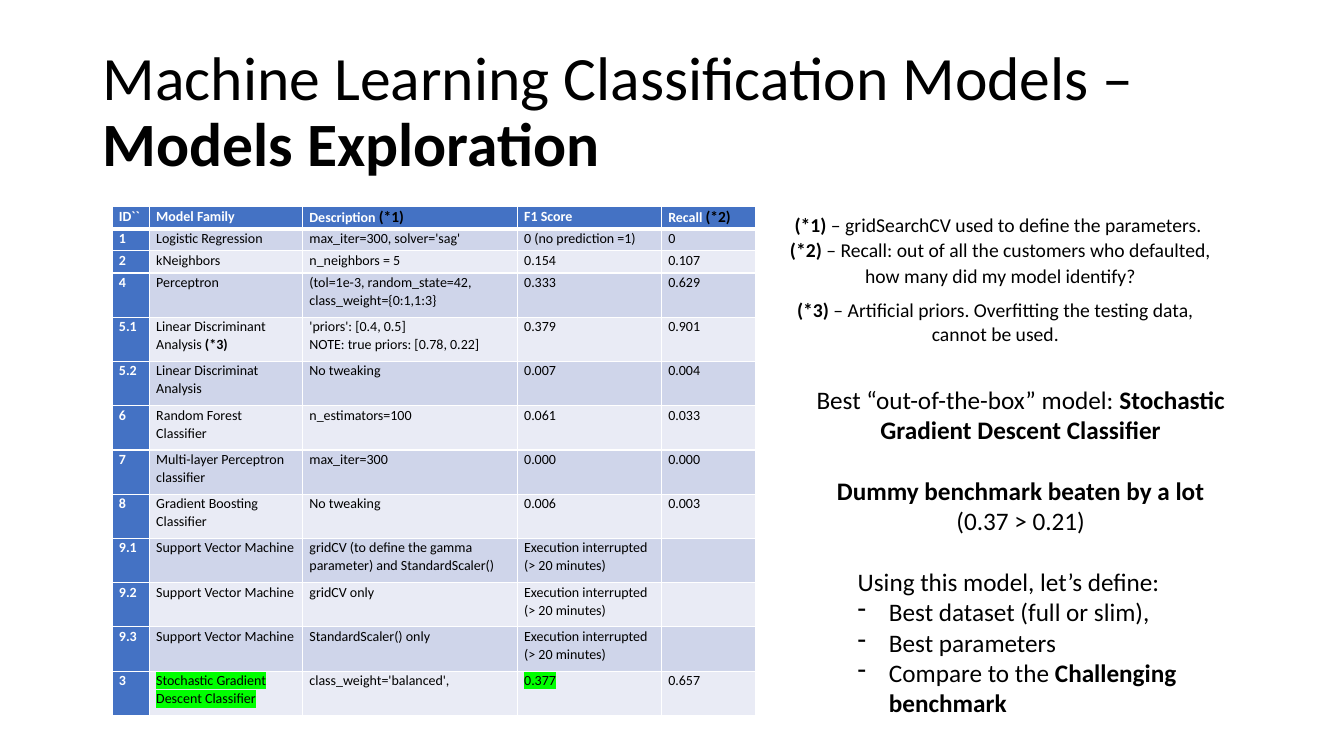
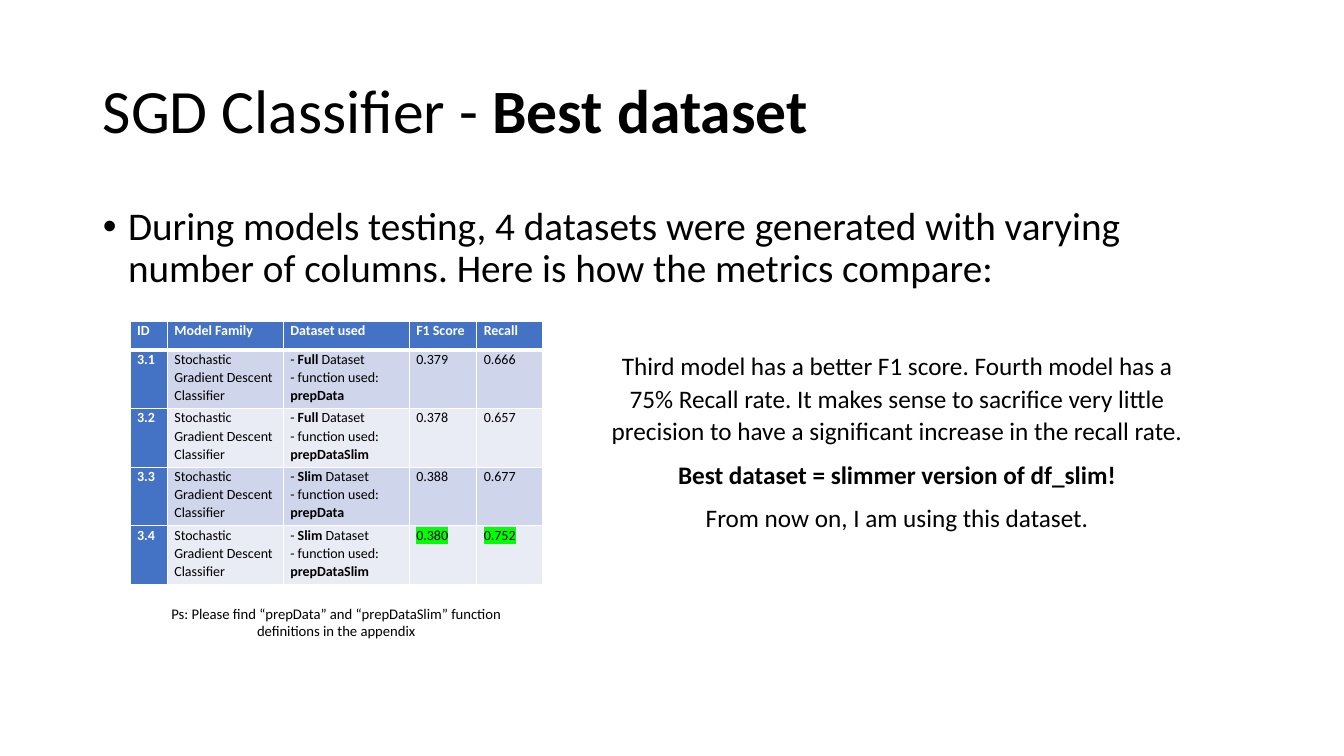
from dataclasses import dataclass, replace

from lxml import etree
from pptx import Presentation
from pptx import util as u
from pptx.dml.color import RGBColor
from pptx.enum import text as t
from pptx.oxml import ns


@dataclass(frozen=True)
class Theme:
    font: str = "Calibri"
    ink: str = "000000"
    paper: str = "FFFFFF"
    accent: str = "4472C4"
    bands: tuple = ("CFD5EA", "E9EBF5")
    marker: str = "00FF00"
    title: float = 44
    body: float = 28
    comment: float = 18
    note: float = 14
    small: float = 10.5
    cell: float = 10
    reference: float = 11
    rule: float = 1
    header_rule: float = 3


@dataclass(frozen=True)
class Span:
    text: str
    bold: bool = False
    marked: bool = False
    size: float = 0
    color: str = ""


@dataclass(frozen=True)
class Style:
    """Type and paragraph settings; indents in inches, spacing in points."""
    size: float
    color: str = "000000"
    bold: bool = False
    align: t.PP_ALIGN = t.PP_ALIGN.LEFT
    line: float = 1
    before: float = 0
    after: float = 0
    indent: float = 0
    hanging: float = 0
    bullet: str = ""


@dataclass(frozen=True)
class Box:
    """Area in hundredths of the slide's width and height."""
    left: float
    top: float
    width: float
    height: float

    def lengths(self):
        across, down = PAGE_WIDTH / 100, PAGE_HEIGHT / 100
        return [int(v) for v in (self.left * across, self.top * down,
                                 self.width * across, self.height * down)]


THEME = Theme()
PAGE_WIDTH, PAGE_HEIGHT = u.Inches(13.33), u.Inches(7.5)
TITLE_ONLY, TITLE_AND_BODY = 5, 1
TITLE_BOX = Box(6.9, 5.33, 86.25, 19.33)
BREAK = Span("\n")

CENTER = t.PP_ALIGN.CENTER
TITLE = Style(THEME.title, line=0.9)
BODY = Style(THEME.body, line=0.9, before=10, indent=0.25, hanging=0.25, bullet="•")
CELL = Style(THEME.cell, line=1.07)
HEADER = replace(CELL, color=THEME.paper, bold=True)
NOTE = Style(THEME.note, align=CENTER)
COMMENT = Style(THEME.comment, align=CENTER)
STEP = Style(THEME.comment, indent=0.81, hanging=0.31, bullet="-")


def bold(words):
    return Span(words, bold=True)


def marked(words):
    return Span(words, marked=True)


def reference(words):
    return Span(words, True, size=THEME.reference, color=THEME.ink)


def paint(fill, color):
    fill.solid()
    fill.fore_color.rgb = RGBColor.from_string(color)


def write_span(para, span, style):
    if span == BREAK:
        para.add_line_break()
        return
    run = para.add_run()
    run.text = span.text
    font = run.font
    font.name = THEME.font
    font.size = u.Pt(span.size or style.size)
    font.bold = span.bold or style.bold
    paint(font.fill, span.color or style.color)
    if span.marked:
        highlight = etree.Element(ns.qn("a:highlight"))
        etree.SubElement(highlight, ns.qn("a:srgbClr"), val=THEME.marker)
        run.font._element.find(ns.qn("a:solidFill")).addnext(highlight)


def write_para(para, content, style):
    """Content is a string, a Span or a tuple of both."""
    para.alignment = style.align
    para.line_spacing = style.line
    para.space_before, para.space_after = u.Pt(style.before), u.Pt(style.after)
    settings = para._p.get_or_add_pPr()
    settings.set("marL", str(u.Inches(style.indent)))
    settings.set("indent", str(-u.Inches(style.hanging)))
    if style.bullet:
        etree.SubElement(settings, ns.qn("a:buChar"), char=style.bullet)
    else:
        etree.SubElement(settings, ns.qn("a:buNone"))
    for part in content if isinstance(content, tuple) else (content,):
        write_span(para, Span(part) if isinstance(part, str) else part, style)


def fill_frame(frame, lines):
    """Write (content, style) pairs, one paragraph each."""
    frame.word_wrap = True
    for index, (content, style) in enumerate(lines):
        para = frame.add_paragraph() if index else frame.paragraphs[0]
        write_para(para, content, style)


def place(shape, box):
    shape.left, shape.top, shape.width, shape.height = box.lengths()


def add_text(page, box, lines):
    fill_frame(page.shapes.add_textbox(*box.lengths()).text_frame, lines)


def add_page(deck, layout, title):
    page = deck.slides.add_slide(deck.slide_layouts[layout])
    place(page.shapes.title, TITLE_BOX)
    frame = page.shapes.title.text_frame
    frame.vertical_anchor = t.MSO_ANCHOR.MIDDLE
    fill_frame(frame, [(title, TITLE)])
    return page


def rule_cell(cell, above, below):
    settings = cell._tc.get_or_add_tcPr()
    widths = {"L": THEME.rule, "R": THEME.rule, "T": above, "B": below}
    for index, (side, width) in enumerate(widths.items()):
        line = etree.Element(ns.qn("a:ln" + side), w=str(u.Pt(width)))
        fill = etree.SubElement(line, ns.qn("a:solidFill"))
        etree.SubElement(fill, ns.qn("a:srgbClr"), val=THEME.paper)
        settings.insert(index, line)


def add_results(page, box, columns, heights, rows):
    """Table with a heading row and column; columns and heights are relative."""
    left, top, width, height = box.lengths()
    table = page.shapes.add_table(len(rows), len(columns), left, top, width, height).table
    for column, share in zip(table.columns, columns):
        column.width = int(width * share / sum(columns))
    for row, share in zip(table.rows, heights):
        row.height = int(height * share / sum(heights))
    for r, contents in enumerate(rows):
        for c, content in enumerate(contents):
            cell = table.cell(r, c)
            heading = r == 0 or c == 0
            cell.margin_left = cell.margin_right = u.Inches(0.07)
            cell.margin_top = cell.margin_bottom = 0
            paint(cell.fill, THEME.accent if heading else THEME.bands[(r - 1) % 2])
            rule_cell(cell, THEME.header_rule if r == 1 else THEME.rule,
                      THEME.header_rule if r == 0 else THEME.rule)
            lines = content if isinstance(content, list) else [content]
            fill_frame(cell.text_frame, [(line, HEADER if heading else CELL) for line in lines])


def build_exploration(deck):
    page = add_page(deck, TITLE_ONLY, (
        "Machine Learning Classification Models –", BREAK, bold("Models Exploration")))
    vector, interrupted = "Support Vector Machine", "Execution interrupted (> 20 minutes)"
    rows = [
        ("ID``", "Model Family", ("Description ", reference("(*1)")), "F1 Score",
         ("Recall ", reference("(*2)"))),
        ("1", "Logistic Regression", "max_iter=300, solver='sag'", "0 (no prediction =1)", "0"),
        ("2", "kNeighbors", "n_neighbors = 5", "0.154", "0.107"),
        ("4", "Perceptron", "(tol=1e-3, random_state=42, class_weight={0:1,1:3}",
         "0.333", "0.629"),
        ("5.1", ("Linear Discriminant Analysis ", bold("(*3)")),
         ["'priors': [0.4, 0.5]", "NOTE: true priors: [0.78, 0.22]"], "0.379", "0.901"),
        ("5.2", "Linear Discriminat Analysis", "No tweaking", "0.007", "0.004"),
        ("6", "Random Forest Classifier", "n_estimators=100", "0.061", "0.033"),
        ("7", "Multi-layer Perceptron classifier", "max_iter=300", "0.000", "0.000"),
        ("8", "Gradient Boosting Classifier", "No tweaking", "0.006", "0.003"),
        ("9.1", vector, "gridCV (to define the gamma parameter) and StandardScaler()",
         interrupted, ""),
        ("9.2", vector, "gridCV only", interrupted, ""),
        ("9.3", vector, "StandardScaler() only", interrupted, ""),
        ("3", marked("Stochastic Gradient Descent Classifier"), "class_weight='balanced',",
         marked("0.377"), "0.657"),
    ]
    add_results(page, Box(8.33, 27.33, 47.93, 67.33), (37, 152, 213, 143, 94),
                [1] * 3 + [2] * 10, rows)
    indented = replace(NOTE, indent=0.1, line=1.07)
    add_text(page, Box(57.15, 27.33, 33.83, 19.2), [
        ((bold("(*1)"), " – gridSearchCV used to define the parameters. "), indented),
        ((bold("(*2)"), " – Recall: out of all the customers who defaulted, "
          "how many did my model identify?"), replace(indented, after=8)),
        ((bold("(*3)"), " – Artificial priors. Overfitting the testing data, "
          "cannot be used."), NOTE),
    ])
    gap = 22
    add_text(page, Box(59.33, 50.13, 33.23, 45.73), [
        (("Best “out-of-the-box” model: ",
          bold("Stochastic Gradient Descent Classifier")), COMMENT),
        (bold("Dummy benchmark beaten by a lot"), replace(COMMENT, before=gap)),
        ("(0.37 > 0.21)", COMMENT),
        ("Using this model, let’s define:", Style(THEME.comment, indent=0.5, before=gap)),
        ("Best dataset (full or slim),", STEP),
        ("Best parameters", STEP),
        (("Compare to the ", bold("Challenging benchmark")), STEP),
    ])


def build_dataset(deck):
    page = add_page(deck, TITLE_AND_BODY, ("SGD Classifier - ", bold("Best dataset")))
    body = page.placeholders[1]
    place(body, Box(6.9, 26.67, 86.25, 63.47))
    fill_frame(body.text_frame, [(
        "During models testing, 4 datasets were generated with varying number of columns. "
        "Here is how the metrics compare:", BODY)])
    trials = [
        ("3.1", "Full", "prepData", "0.379", "0.666"),
        ("3.2", "Full", "prepDataSlim", "0.378", "0.657"),
        ("3.3", "Slim", "prepData", "0.388", "0.677"),
        ("3.4", "Slim", "prepDataSlim", marked("0.380"), marked("0.752")),
    ]
    rows = [("ID", "Model Family", "Dataset used", "F1 Score", "Recall")]
    for number, dataset, function, score, recall in trials:
        used = [("- ", bold(dataset), " Dataset"), ("- function used: ", bold(function))]
        rows.append((number, "Stochastic Gradient Descent Classifier", used, score, recall))
    add_results(page, Box(9.68, 42.53, 30.68, 34.8), (37, 115, 125, 67, 65),
                [28] + [58] * len(trials), rows)
    add_text(page, Box(9.68, 79.33, 30.68, 6), [(
        "Ps: Please find “prepData” and “prepDataSlim” function definitions in the appendix",
        Style(THEME.small, align=CENTER))])
    spaced = replace(COMMENT, line=1.07, after=8)
    add_text(page, Box(44.63, 45.47, 44.25, 25.73), [
        ("Third model has a better F1 score. Fourth model has a 75% Recall rate. It makes "
         "sense to sacrifice very little precision to have a significant increase in the "
         "recall rate.", spaced),
        (bold("Best dataset = slimmer version of df_slim!"), spaced),
        ("From now on, I am using this dataset.", spaced),
    ])


def main():
    deck = Presentation()
    deck.slide_width, deck.slide_height = PAGE_WIDTH, PAGE_HEIGHT
    build_exploration(deck)
    build_dataset(deck)
    deck.save("out.pptx")


if __name__ == "__main__":
    main()
